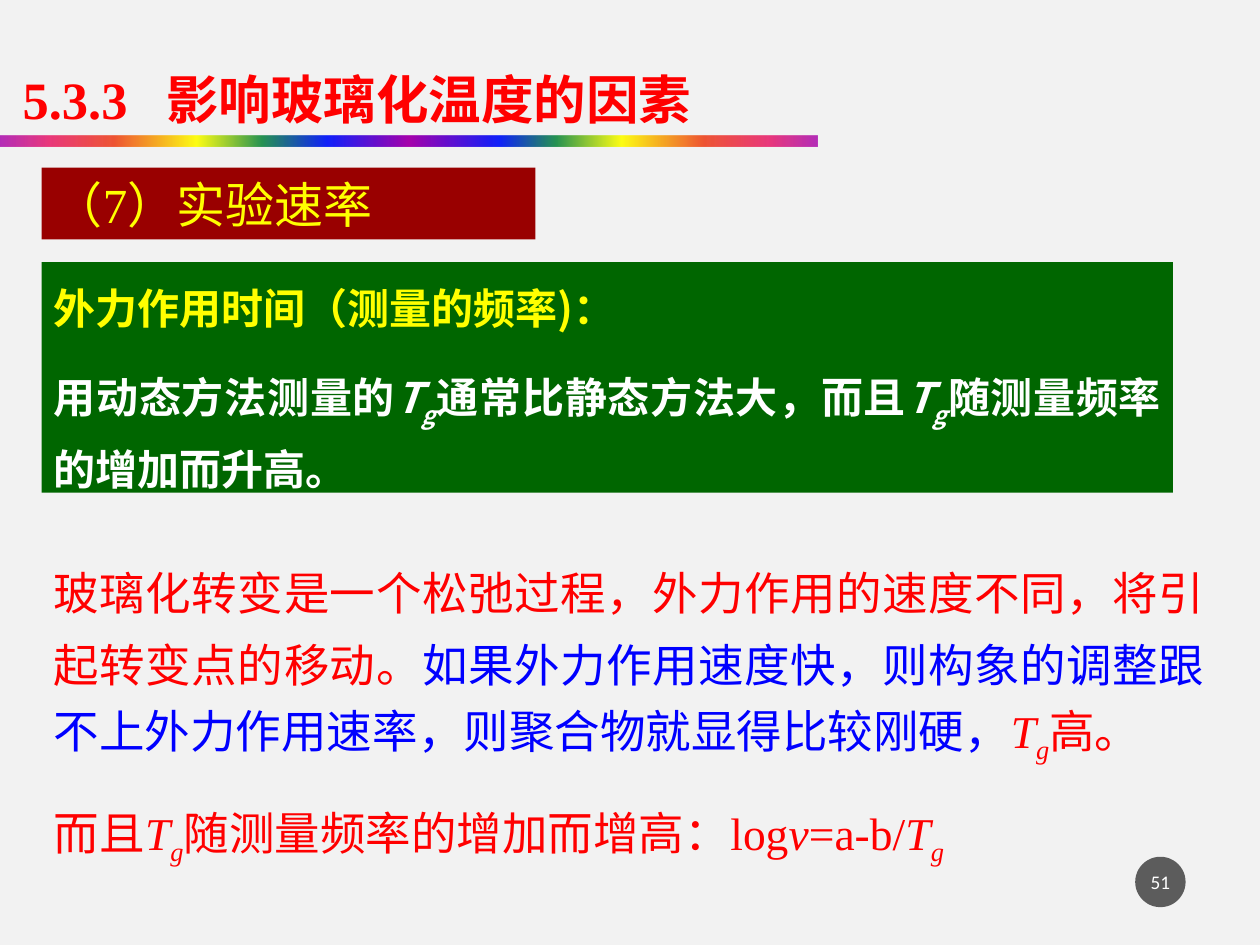
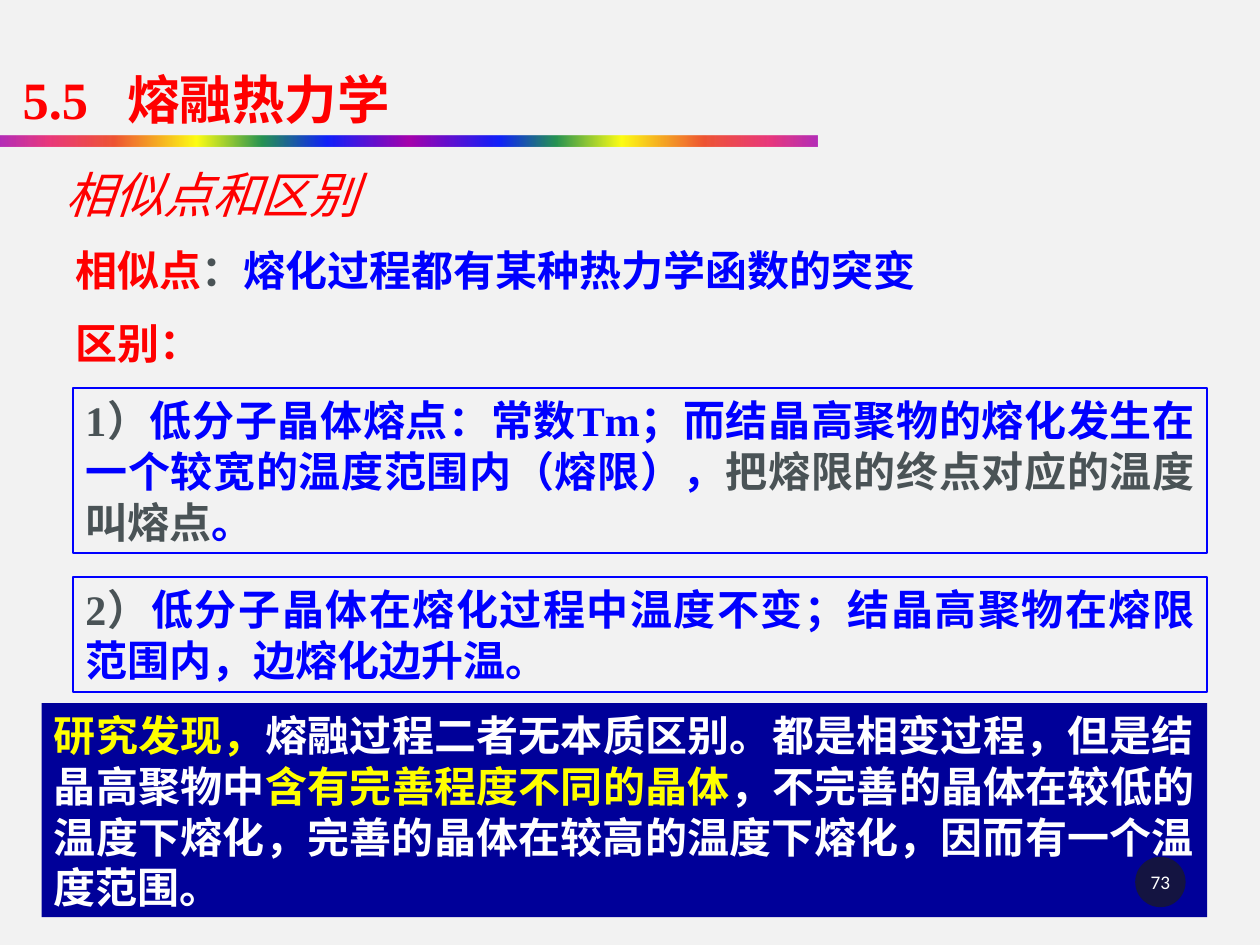
from lxml import etree
from pptx import Presentation
from pptx.dml.color import RGBColor
from pptx.enum.shapes import MSO_SHAPE as Shape
from pptx.enum.text import MSO_ANCHOR as Anchor, MSO_AUTO_SIZE as AutoSize, PP_ALIGN as Align
from pptx.oxml.ns import qn
from pptx.util import Inches, Pt

RED = RGBColor(0xFF, 0x00, 0x00)
BLUE = RGBColor(0x00, 0x00, 0xFF)
YELLOW = RGBColor(0xFF, 0xFF, 0x00)
WHITE = RGBColor(0xFF, 0xFF, 0xFF)
GREY = RGBColor(0x4A, 0x53, 0x56)
GREEN = RGBColor(0x00, 0x66, 0x00)
MAROON = RGBColor(0x99, 0x00, 0x00)
NAVY = RGBColor(0x00, 0x00, 0x99)
BADGE = RGBColor(0x1D, 0x1D, 0x1D)
BACKGROUND = RGBColor(0xF2, 0xF2, 0xF2)

SERIF = "Times New Roman"
HAN = "Noto Sans CJK SC"

# Rainbow band: position %, colour, opacity %
RAINBOW = [
    (0, "A603AB", 82), (6, "E81766", 84), (14, "EE3F17", 87), (24, "FFFF00", 91),
    (32, "1A8D48", 94), (40, "0819FB", 96), (50, "A603AB", 100), (61, "0819FB", 96),
    (68, "1A8D48", 94), (76, "FFFF00", 91), (86, "EE3F17", 87), (94, "E81766", 84),
    (100, "A603AB", 82),
]


def write(box, paragraphs, size=24, color=RED, bold=False, italic=False, font=SERIF,
          align=Align.LEFT, leading=None, before=0, top=0.05, side=0.1,
          anchor=Anchor.TOP, tab=None):
    """Fill box with paragraphs, each a list of (text, run format) pairs."""
    frame = box.text_frame
    frame.word_wrap = True
    frame.auto_size = AutoSize.NONE
    frame.vertical_anchor = anchor
    frame.margin_left = frame.margin_right = Inches(side)
    frame.margin_top, frame.margin_bottom = Inches(top), Inches(0.05)
    for index, spans in enumerate(paragraphs):
        para = frame.add_paragraph() if index else frame.paragraphs[0]
        if tab:
            stops = etree.SubElement(para._p.get_or_add_pPr(), qn("a:tabLst"))
            etree.SubElement(stops, qn("a:tab"), pos=str(Inches(tab)), algn="l")
        para.alignment = align
        para.line_spacing = Pt(leading or round(size * 1.21, 1))
        para.space_before = Pt(before if index else 0)
        for text, style in spans:
            span = para.add_run()
            span.text = text
            span.font.size = Pt(size)
            span.font.name = font
            span.font.bold = bold
            span.font.italic = style.get("italic", italic)
            span.font.color.rgb = style.get("color", color)
            props = span._r.get_or_add_rPr()
            props.set("lang", "zh-CN")
            if style.get("sub"):
                props.set("baseline", "-25000")
            etree.SubElement(props, qn("a:ea"), typeface=HAN)


def add_box(page, left, top, width, height, fill=None, line=None, kind=Shape.RECTANGLE):
    box = page.shapes.add_shape(kind, Inches(left), Inches(top), Inches(width), Inches(height))
    box.shadow.inherit = False
    if fill is None:
        box.fill.background()
    else:
        box.fill.solid()
        box.fill.fore_color.rgb = fill
    if line is None:
        box.line.fill.background()
    else:
        box.line.color.rgb = line
        box.line.width = Pt(1)
    return box


deck = Presentation()
deck.slide_width, deck.slide_height = Inches(10), Inches(7.5)
master_fill = deck.slide_master.background.fill
master_fill.solid()
master_fill.fore_color.rgb = BACKGROUND
layout = deck.slide_layouts[5]

# Titles: number, heading, title width, tab stop after the number
pages = []
for number, heading, width, tab in [
    ("5.3.3", "影响玻璃化温度的因素", 6.5, 1.14),
    ("5.5", "熔融热力学", 6.92, 0.83),
]:
    page = deck.slides.add_slide(layout)
    title = page.shapes.title
    title.left, title.top = Inches(0.08), Inches(0.33)
    title.width, title.height = Inches(width), Inches(0.75)
    write(title, [[(f"{number}\t{heading}", {})]], size=30, bold=True,
          leading=47, tab=tab)
    pages.append(page)
rate_page, melting_page = pages

# The rainbow band is shared through the layout
band = add_box(rate_page, 0, 1.08, 6.49, 0.08)
band.fill.gradient()
band.fill.gradient_angle = 0
stop_list = band._element.spPr.find(qn("a:gradFill")).find(qn("a:gsLst"))
for stop in list(stop_list):
    stop_list.remove(stop)
for position, color, opacity in RAINBOW:
    stop = etree.SubElement(stop_list, qn("a:gs"), pos=str(position * 1000))
    tint = etree.SubElement(stop, qn("a:srgbClr"), val=color)
    etree.SubElement(tint, qn("a:alpha"), val=str(opacity * 1000))
layout.shapes._spTree.append(band._element)

# Experimental rate
TG = [("T", {"italic": True}), ("g", {"italic": True, "sub": True})]

frequency = add_box(rate_page, 0.33, 2.08, 8.98, 1.83, fill=GREEN)
write(frequency, [
    [("外力作用时间（测量的频率)：", {"color": YELLOW})],
    [("用动态方法测量的", {}), *TG, ("通常比静态方法大，而且", {}), *TG,
     ("随测量频率的增加而升高。", {})],
], color=WHITE, bold=True, font=HAN, align=Align.JUSTIFY, leading=37, before=18)

relaxation = add_box(rate_page, 0.33, 4.33, 9.33, 2.45)
write(relaxation, [
    [("玻璃化转变是一个松弛过程，外力作用的速度不同，将引起转变点的移动。", {}),
     ("如果外力作用速度快，则构象的调整跟不上外力作用速率，则聚合物就显得比较刚硬，",
      {"color": BLUE}), *TG, ("高。", {})],
    [("而且", {}), *TG, ("随测量频率的增加而增高：log", {}), ("ν", {"italic": True}),
     ("=a-b/", {}), *TG],
], size=26, align=Align.JUSTIFY, leading=41.5, before=17, top=0.01)

factor = add_box(rate_page, 0.33, 1.33, 3.92, 0.57, fill=MAROON)
write(factor, [[("（7）实验速率", {})]], size=28, color=YELLOW)

# Melting: similarity and differences
similarity = add_box(melting_page, 0.5, 1.89, 7.63, 0.5)
write(similarity, [[("相似点", {}), ("：", {"color": GREY}),
                    ("熔化过程都有某种热力学函数的突变", {"color": BLUE})]], bold=True)

comparison = add_box(melting_page, 0.42, 1.25, 3.67, 0.57)
write(comparison, [[("相似点和区别", {})]], size=28, italic=True)

difference = add_box(melting_page, 0.5, 2.47, 1.23, 0.5)
write(difference, [[("区别：", {})]], bold=True)

for top, height, spans in [
    (3.08, 1.31, [
        ("1）", {"color": GREY}),
        ("低分子晶体熔点：常数Tm；而结晶高聚物的熔化发生在一个较宽的温度范围内（熔限），", {}),
        ("把熔限的终点对应的温度叫熔点", {"color": GREY}), ("。", {})]),
    (4.58, 0.91, [
        ("2）", {"color": GREY}),
        ("低分子晶体在熔化过程中温度不变；结晶高聚物在熔限范围内，边熔化边升温。", {})]),
]:
    point = add_box(melting_page, 0.58, top, 9, height, line=BLUE)
    write(point, [spans], color=BLUE, bold=True, align=Align.JUSTIFY)

finding = add_box(melting_page, 0.33, 5.58, 9.25, 1.7, fill=NAVY)
write(finding, [[
    ("研究发现，", {"color": YELLOW}),
    ("熔融过程二者无本质区别。都是相变过程，但是结晶高聚物中", {}),
    ("含有完善程度不同的晶体", {"color": YELLOW}),
    ("，不完善的晶体在较低的温度下熔化，完善的晶体在较高的温度下熔化，因而有一个温度范围。", {}),
]], color=WHITE, bold=True, align=Align.JUSTIFY)

# Page number badges
for page, number in zip(pages, ["51", "73"]):
    badge = add_box(page, 9.01, 6.8, 0.4, 0.4, fill=BADGE, kind=Shape.OVAL)
    tint = badge._element.spPr.find(qn("a:solidFill")).find(qn("a:srgbClr"))
    etree.SubElement(tint, qn("a:alpha"), val="70000")
    write(badge, [[(number, {})]], size=11, color=WHITE, font="Calibri", align=Align.CENTER,
          side=0.02, anchor=Anchor.MIDDLE)

deck.save("out.pptx")
